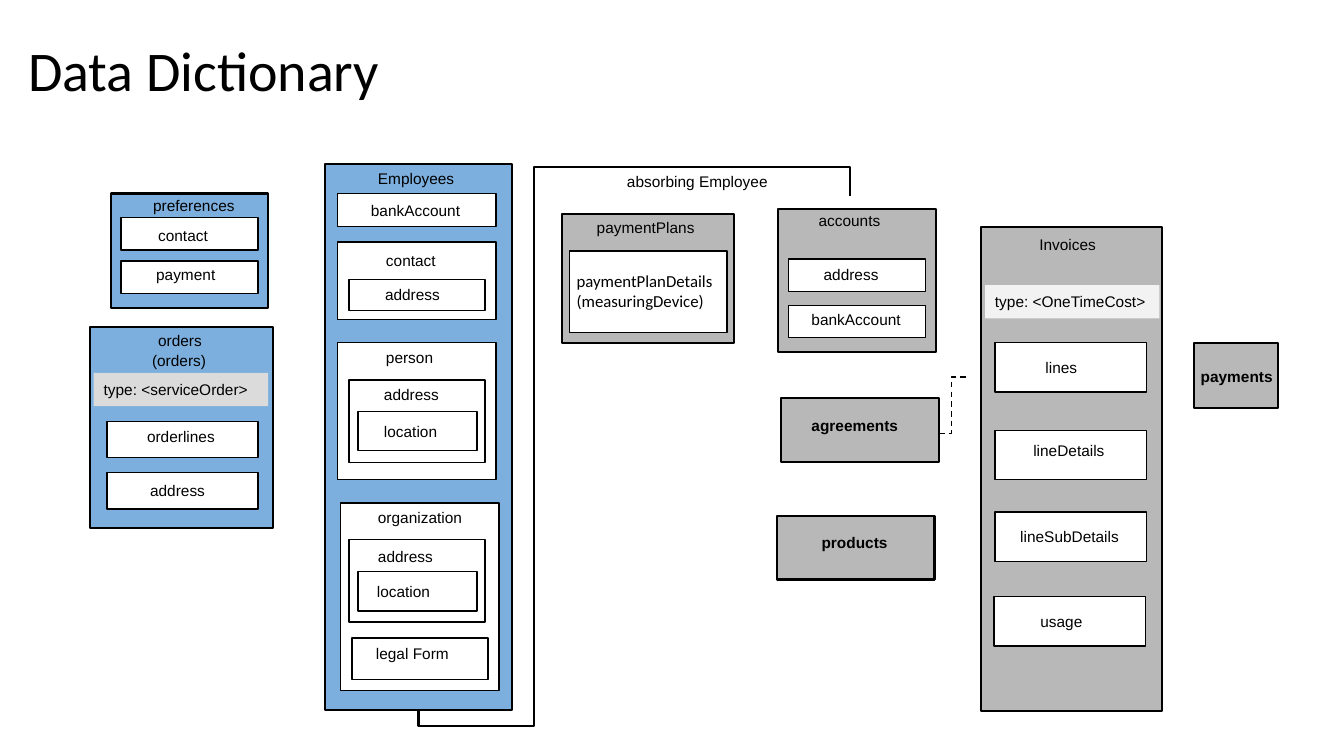
from lxml.etree import SubElement
from pptx import Presentation
from pptx.dml.color import RGBColor
from pptx.enum.dml import MSO_LINE
from pptx.enum.shapes import MSO_CONNECTOR, MSO_SHAPE
from pptx.enum.text import MSO_ANCHOR, MSO_AUTO_SIZE, PP_ALIGN
from pptx.oxml.ns import qn
from pptx.util import Inches, Pt

BLACK = RGBColor(0x00, 0x00, 0x00)
WHITE = RGBColor(0xFF, 0xFF, 0xFF)
BLUE = RGBColor(0x7C, 0xAF, 0xDE)
GRAY = RGBColor(0xB8, 0xB8, 0xB8)
SILVER = RGBColor(0xDB, 0xDB, 0xDB)
PALE = RGBColor(0xF2, 0xF2, 0xF2)

LABEL_HEIGHT = 0.29
LABEL_WIDTHS = {
    "preferences": 1.02, "contact": 0.7, "payment": 0.79, "orders": 0.64,
    "(orders)": 0.74, "orderlines": 0.88, "address": 0.75, "Employees": 0.97,
    "bankAccount": 1.09, "person": 0.67, "location": 0.73,
    "organization": 1.04, "legal Form": 0.93, "paymentPlans": 1.18,
    "accounts": 0.82, "agreements": 1.07, "products": 0.86, "Invoices": 0.77,
    "lines": 0.52, "lineDetails": 0.92, "lineSubDetails": 1.19,
    "usage": 0.62, "payments": 0.92, "absorbing Employee": 1.61,
}

# Each entity: fill, bold, outer box, its label and label corner, inner boxes
ENTITIES = [
    (BLUE, False, (1.1, 1.92, 1.56, 1.14), "preferences", (1.42, 1.9), [
        ((1.2, 2.16, 1.36, 0.32), "contact", (1.47, 2.19)),
        ((1.2, 2.59, 1.36, 0.32), "payment", (1.45, 2.58)),
    ]),
    (BLUE, False, (0.89, 3.24, 1.82, 2), "orders", (1.47, 3.24), [
        ((1.06, 4.18, 1.5, 0.36), "orderlines", (1.36, 4.19)),
        ((1.06, 4.69, 1.5, 0.36), "address", (1.39, 4.72)),
    ]),
    (BLUE, False, (3.22, 1.63, 1.86, 5.41), "Employees", (3.65, 1.63), [
        ((3.35, 1.92, 1.57, 0.33), "bankAccount", (3.58, 1.95)),
        ((3.35, 2.4, 1.57, 0.77), "contact", (3.73, 2.44)),
        ((3.46, 2.77, 1.35, 0.31), "address", (3.72, 2.78)),
        ((3.35, 3.4, 1.57, 1.36), "person", (3.73, 3.4)),
        ((3.46, 3.77, 1.35, 0.82), "address", (3.71, 3.77)),
        ((3.55, 4.08, 1.18, 0.39), "location", (3.71, 4.14)),
        ((3.38, 4.99, 1.57, 1.86), "organization", (3.65, 4.99)),
        ((3.46, 5.35, 1.35, 0.82), "address", (3.65, 5.38)),
        ((3.55, 5.67, 1.18, 0.39), "location", (3.64, 5.73)),
        ((3.49, 6.33, 1.35, 0.41), "legal Form", (3.63, 6.34)),
    ]),
    (GRAY, False, (5.57, 2.12, 1.71, 1.28), "paymentPlans", (5.82, 2.11), [
        ((5.65, 2.49, 1.56, 0.81), None, None),
    ]),
    (GRAY, False, (7.72, 2.07, 1.56, 1.42), "accounts", (8.02, 2.05), [
        ((7.82, 2.57, 1.36, 0.32), "address", (8.07, 2.58)),
        ((7.82, 3.03, 1.36, 0.32), "bankAccount", (7.95, 3.03)),
    ]),
    (GRAY, True, (7.75, 3.95, 1.56, 0.63), "agreements", (7.95, 4.08), []),
    (GRAY, True, (7.71, 5.12, 1.56, 0.63), "products", (8.05, 5.24), []),
    (GRAY, False, (9.73, 2.25, 1.8, 4.8), "Invoices", (10.21, 2.28), [
        ((9.87, 3.4, 1.5, 0.49), "lines", (10.27, 3.5)),
        ((9.87, 4.27, 1.5, 0.49), "lineDetails", (10.15, 4.33)),
        ((9.87, 5.08, 1.5, 0.49), "lineSubDetails", (10.02, 5.18)),
        ((9.86, 5.92, 1.5, 0.49), "usage", (10.22, 6.02)),
    ]),
    (GRAY, True, (11.84, 3.4, 0.84, 0.65), "payments", (11.81, 3.59), []),
]
TYPE_BANDS = [
    ((0.93, 3.7, 1.73, 0.33), SILVER, "type: <serviceOrder>"),
    ((9.77, 2.83, 1.73, 0.33), PALE, "type: <OneTimeCost>"),
]
FREE_LABELS = [("(orders)", (1.41, 3.43)), ("absorbing Employee", (6.12, 1.66))]
PLAN_DETAILS = ["paymentPlanDetails", "(measuringDevice)"]


def write(frame, lines, size=11, face="Arial", bold=False):
    frame.text = "\n".join(lines)
    for para in frame.paragraphs:
        para.alignment = PP_ALIGN.LEFT
        para.font.size = Pt(size)
        para.font.name = face
        para.font.bold = bold
        para.font.color.rgb = BLACK


def add_box(page, place, fill, line_width=None):
    box = page.shapes.add_shape(MSO_SHAPE.RECTANGLE, *map(Inches, place))
    box.shadow.inherit = False
    box.fill.solid()
    box.fill.fore_color.rgb = fill
    if line_width is None:
        box.line.fill.background()
    else:
        box.line.color.rgb = BLACK
        box.line.width = Pt(line_width)
    return box


def add_label(page, text, corner, bold=False):
    place = (*corner, LABEL_WIDTHS[text], LABEL_HEIGHT)
    label = page.shapes.add_textbox(*map(Inches, place))
    label.text_frame.word_wrap = False
    label.text_frame.auto_size = MSO_AUTO_SIZE.SHAPE_TO_FIT_TEXT
    write(label.text_frame, [text], bold=bold)


def add_elbow(page, ends, width):
    link = page.shapes.add_connector(MSO_CONNECTOR.ELBOW, *map(Inches, ends))
    link.line.color.rgb = BLACK
    link.line.width = Pt(width)
    SubElement(link._element.spPr, qn("a:effectLst"))
    return link


def add_absorbing_link(page):
    link = add_elbow(page, (8.79, 6.59, 3.79, 2.31), 1.5)
    properties = link._element.spPr
    properties.find(qn("a:xfrm")).set("rot", str(90 * 60000))
    geometry = properties.find(qn("a:prstGeom"))
    geometry.set("prst", "bentConnector5")
    guides = geometry.find(qn("a:avLst"))
    if guides is None:
        guides = SubElement(geometry, qn("a:avLst"))
    for number, value in enumerate((-5000, 26700, 105900), 1):
        SubElement(guides, qn("a:gd"), name=f"adj{number}", fmla=f"val {value}")


def main():
    deck = Presentation()
    deck.slide_width, deck.slide_height = Inches(13.33), Inches(7.5)
    page = deck.slides.add_slide(deck.slide_layouts[6])

    title = page.shapes.add_textbox(*map(Inches, (0.18, 0, 11.5, 1.45))).text_frame
    title.word_wrap = True
    title.vertical_anchor = MSO_ANCHOR.MIDDLE
    write(title, ["Data Dictionary"], 40, "Calibri")
    title.paragraphs[0].line_spacing = 0.9

    add_absorbing_link(page)
    for fill, bold, place, name, corner, parts in ENTITIES:
        add_box(page, place, fill, 1.5)
        add_label(page, name, corner, bold)
        for part_place, part_name, part_corner in parts:
            add_box(page, part_place, WHITE, 1)
            if part_name:
                add_label(page, part_name, part_corner)

    for place, fill, text in TYPE_BANDS:
        band = add_box(page, place, fill).text_frame
        band.vertical_anchor = MSO_ANCHOR.MIDDLE
        write(band, [text])
    for text, corner in FREE_LABELS:
        add_label(page, text, corner)

    details = page.shapes.add_textbox(*map(Inches, (5.62, 2.64, 1.63, 0.5))).text_frame
    details.word_wrap = True
    details.auto_size = MSO_AUTO_SIZE.SHAPE_TO_FIT_TEXT
    write(details, PLAN_DETAILS, 12, "Calibri")

    agreement_link = add_elbow(page, (9.58, 3.74, 9.29, 4.3), 1)
    agreement_link.line.dash_style = MSO_LINE.DASH

    deck.save("out.pptx")


if __name__ == "__main__":
    main()
